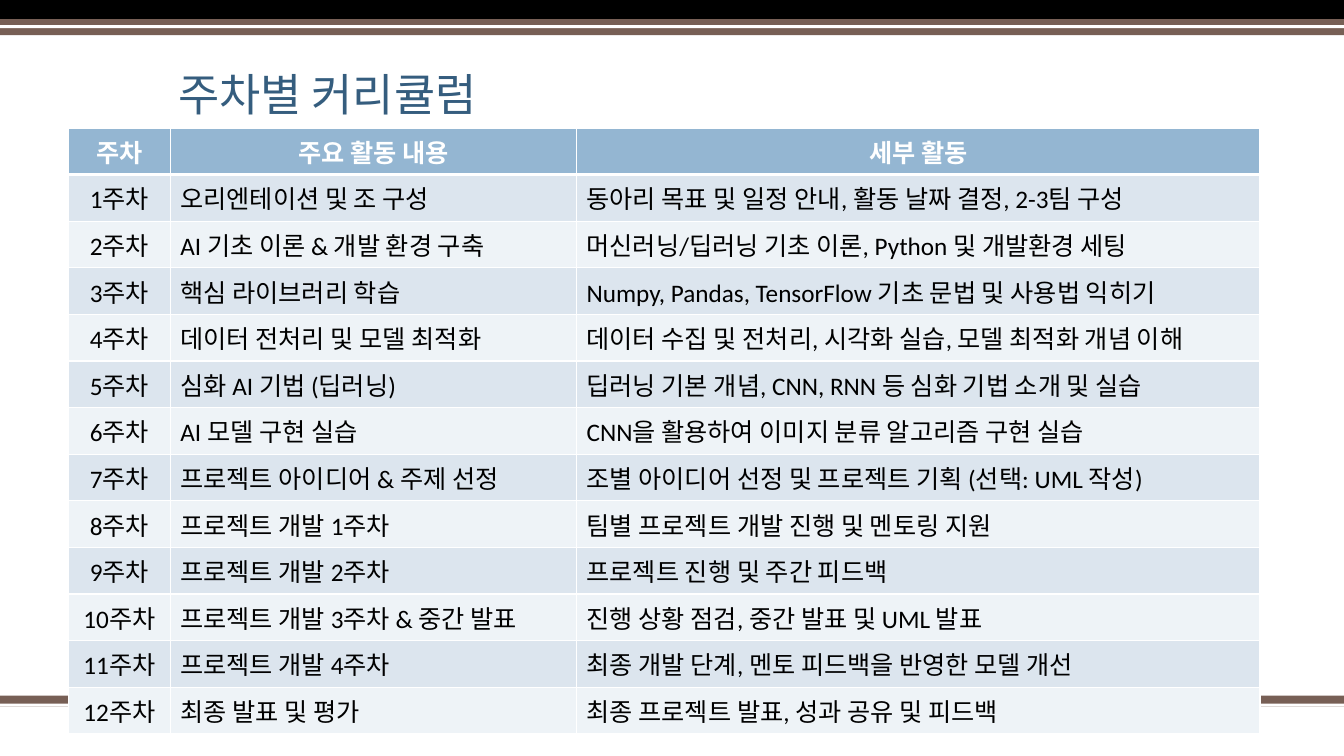
"""Build the weekly curriculum slide with its title, frame bars and table."""
import pptx
import pptx.dml.color
import pptx.enum.shapes
import pptx.enum.text
import pptx.oxml
import pptx.oxml.ns
import pptx.util

Pt = pptx.util.Pt
RGB = pptx.dml.color.RGBColor.from_string
ALIGN = pptx.enum.text.PP_ALIGN

THEME = {
    "black": "000000", "white": "FFFFFF", "brown": "775F55",
    "title": "355D7E", "header": "94B6D2", "bands": ("DCE5EE", "EEF3F7"),
    "latin": "Calibri", "korean": "Noto Sans CJK KR",
    "title_size": 32, "table_size": 18,
}


def style_run(run, latin, size, color, bold=False):
    """Set the Latin and Korean fonts, size, colour and weight of a run."""
    run.font.name = latin
    run.font.size = Pt(size)
    run.font.bold = bold
    run.font.color.rgb = RGB(color)
    korean = pptx.oxml.parse_xml(
        f'<a:ea {pptx.oxml.ns.nsdecls("a")} typeface="{THEME["korean"]}"/>')
    run.font._element.append(korean)


def style_cell(cell, fill, bottom):
    """Give a cell its fill and white borders, with the bottom width in points."""
    for side, width in (("L", 1), ("R", 1), ("T", 1), ("B", bottom)):
        border = pptx.oxml.parse_xml(
            f'<a:ln{side} {pptx.oxml.ns.nsdecls("a")} w="{Pt(width)}"><a:solidFill>'
            f'<a:srgbClr val="{THEME["white"]}"/></a:solidFill></a:ln{side}>')
        cell._tc.get_or_add_tcPr().append(border)
    cell.fill.solid()
    cell.fill.fore_color.rgb = RGB(fill)


deck = pptx.Presentation()
deck.slide_width, deck.slide_height = Pt(960), Pt(540)
slide = deck.slides.add_slide(deck.slide_layouts[5])

frame_bars = [
    (496.8, 7.92, "brown"),
    (502.56, 2.16, "white"),
    (0, 13.68, "black"),
    (13.68, 11.52, "brown"),
    (18, 2.16, "white"),
]
for top, height, color in frame_bars:
    bar = slide.shapes.add_shape(
        pptx.enum.shapes.MSO_SHAPE.RECTANGLE, 0, Pt(top), deck.slide_width, Pt(height))
    bar.shadow.inherit = False
    bar.fill.solid()
    bar.fill.fore_color.rgb = RGB(THEME[color])
    bar.line.fill.background()

title = slide.shapes.title
title.left, title.top, title.width, title.height = Pt(120), Pt(5.76), Pt(720), Pt(84.24)
title.text_frame.text = "주차별 커리큘럼"
title.text_frame.vertical_anchor = pptx.enum.text.MSO_ANCHOR.BOTTOM
title.text_frame.auto_size = pptx.enum.text.MSO_AUTO_SIZE.NONE
heading = title.text_frame.paragraphs[0]
heading.alignment = ALIGN.LEFT
heading.line_spacing = 0.9
style_run(heading.runs[0], THEME["korean"], THEME["title_size"], THEME["title"])

weeks = [
    ("오리엔테이션 및 조 구성", "동아리 목표 및 일정 안내, 활동 날짜 결정, 2-3팀 구성"),
    ("AI 기초 이론 & 개발 환경 구축", "머신러닝/딥러닝 기초 이론, Python 및 개발환경 세팅"),
    ("핵심 라이브러리 학습", "Numpy, Pandas, TensorFlow 기초 문법 및 사용법 익히기"),
    ("데이터 전처리 및 모델 최적화", "데이터 수집 및 전처리, 시각화 실습, 모델 최적화 개념 이해"),
    ("심화 AI 기법 (딥러닝)", "딥러닝 기본 개념, CNN, RNN 등 심화 기법 소개 및 실습"),
    ("AI 모델 구현 실습", "CNN을 활용하여 이미지 분류 알고리즘 구현 실습"),
    ("프로젝트 아이디어 & 주제 선정", "조별 아이디어 선정 및 프로젝트 기획 (선택: UML 작성)"),
    ("프로젝트 개발 1주차", "팀별 프로젝트 개발 진행 및 멘토링 지원"),
    ("프로젝트 개발 2주차", "프로젝트 진행 및 주간 피드백"),
    ("프로젝트 개발 3주차 & 중간 발표", "진행 상황 점검, 중간 발표 및 UML 발표"),
    ("프로젝트 개발 4주차", "최종 개발 단계, 멘토 피드백을 반영한 모델 개선"),
    ("최종 발표 및 평가", "최종 프로젝트 발표, 성과 공유 및 피드백"),
]
rows = [("주차", "주요 활동 내용", "세부 활동")]
rows += [(f"{number}주차", *week) for number, week in enumerate(weeks, 1)]
column_widths = (72.72, 290.16, 488.16)
row_height = 29.2

curriculum = slide.shapes.add_table(
    len(rows), len(column_widths), Pt(48.96), Pt(91.44),
    Pt(sum(column_widths)), Pt(row_height * len(rows))).table
for column, width in zip(curriculum.columns, column_widths):
    column.width = Pt(width)

for row_index, texts in enumerate(rows):
    curriculum.rows[row_index].height = Pt(row_height)
    is_header = row_index == 0
    fill = THEME["header"] if is_header else THEME["bands"][(row_index - 1) % 2]
    color = THEME["white"] if is_header else THEME["black"]
    for column_index, text in enumerate(texts):
        cell = curriculum.cell(row_index, column_index)
        style_cell(cell, fill, 3 if is_header else 1)
        cell.text_frame.text = text
        entry = cell.text_frame.paragraphs[0]
        entry.alignment = ALIGN.CENTER if is_header or column_index == 0 else ALIGN.LEFT
        style_run(entry.runs[0], THEME["latin"], THEME["table_size"], color, is_header)

deck.save("out.pptx")
